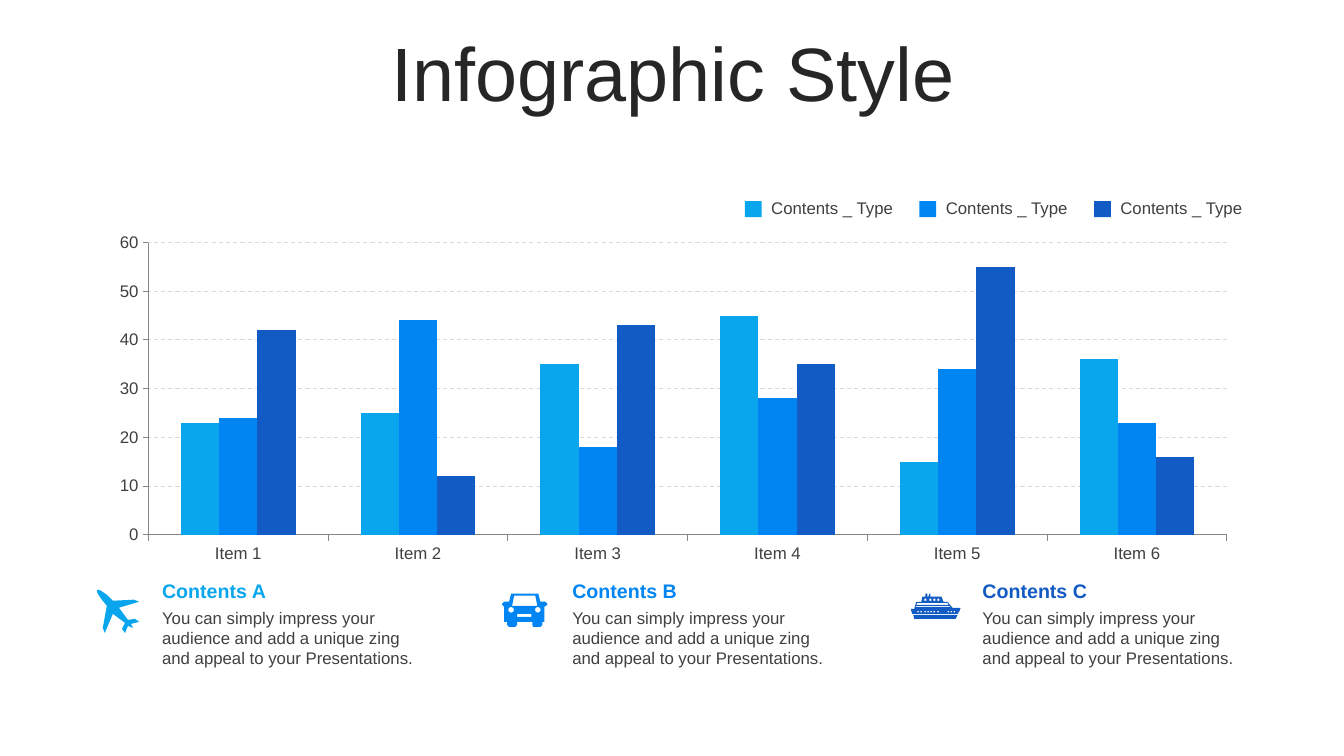
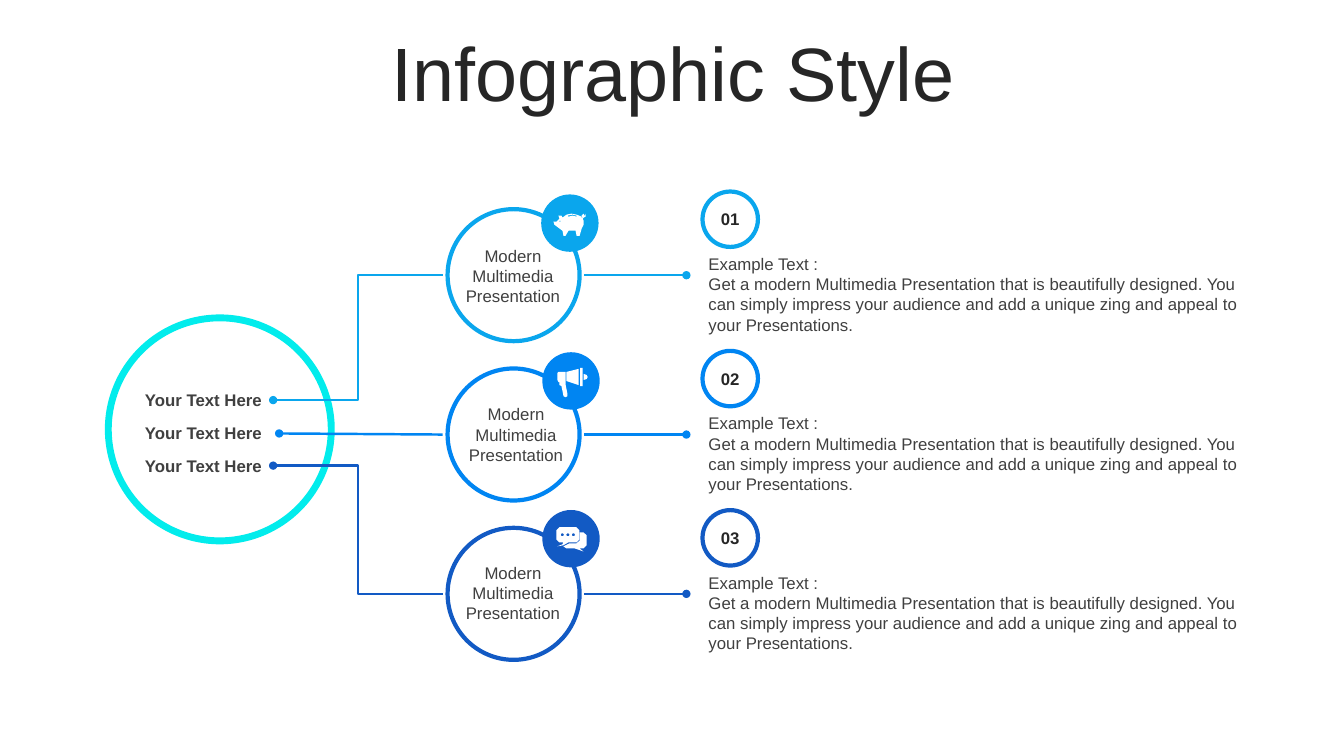
"""Build two infographic slides: a column chart and a branching diagram."""
from dataclasses import dataclass
from math import cos, pi, sin

from lxml import etree
from pptx import Presentation, util as u
from pptx.chart.data import CategoryChartData
from pptx.dml.color import RGBColor
from pptx.enum import chart as charts, dml, shapes, text
from pptx.oxml.ns import qn
from pptx.slide import Slide

FONT = "Arial"
SKY, AZURE, NAVY, CYAN = "0AA6ED", "0085F2", "125AC4", "02ECEC"
WHITE, INK, BODY, GRID, AXIS = "FFFFFF", "262626", "404040", "D9D9D9", "868686"
ACCENTS = (SKY, AZURE, NAVY)
ICON_UNIT = 0.72
BLURB = ("You can simply impress your audience and add a unique zing "
         "and appeal to your Presentations.")
EXAMPLE = ("Get a modern Multimedia Presentation that is beautifully designed. "
           "You can simply impress your audience and add a unique zing "
           "and appeal to your Presentations.")

Point = tuple[float, float]
Contour = list[Point]


@dataclass(frozen=True)
class Frame:
    """A rectangle in points."""
    left: float
    top: float
    width: float
    height: float

    def lengths(self) -> list[u.Length]:
        """Return the four sides as slide lengths."""
        return [u.Pt(side) for side in (self.left, self.top, self.width, self.height)]


@dataclass(frozen=True)
class Style:
    """The look of a text."""
    size: float = 12
    color: str = BODY
    bold: bool = False
    align: text.PP_ALIGN = text.PP_ALIGN.LEFT
    anchor: text.MSO_ANCHOR = text.MSO_ANCHOR.TOP
    spacing: float = 1.0


@dataclass(frozen=True)
class Icon:
    """An outline with holes, placed by its top left corner."""
    left: float
    top: float
    contours: list[Contour]


@dataclass(frozen=True)
class Feature:
    """A headed blurb with its icon."""
    heading: str
    color: str
    icon: Icon


@dataclass(frozen=True)
class Branch:
    """One row of the diagram."""
    number: str
    color: str
    caption_left: float
    badge_left: float
    start: Point
    icon: Icon


def rect(left: float, top: float, width: float, height: float) -> Contour:
    """Return a rectangular contour."""
    right, bottom = left + width, top + height
    return [(left, top), (right, top), (right, bottom), (left, bottom)]


def disc(x: float, y: float, radius: float) -> Contour:
    """Return a round contour."""
    angles = [pi * step / 8 for step in range(16)]
    return [(x + radius * cos(angle), y + radius * sin(angle)) for angle in angles]


PLANE = Icon(69.1, 421.2, [[
    (42, 32), (34, 34), (36, 38), (31, 36), (28, 43), (25, 39), (28, 33), (16, 24),
    (8, 43), (6, 38), (10, 16), (5, 10), (1, 4), (0, 1), (1, 0), (4, 1), (10, 5),
    (16, 11), (37, 10), (42, 12), (22, 18), (31, 30), (38, 29)]])
CAR = Icon(358.6, 424.1, [
    [(9, 0), (36, 0), (38, 8), (43, 8), (45, 10), (45, 11), (42, 13), (42, 28),
     (40, 28), (40, 31), (38, 33), (31, 33), (30, 31), (30, 28), (15, 28), (15, 31),
     (13, 33), (7, 33), (5, 31), (5, 28), (2, 28), (2, 13), (0, 11), (0, 10),
     (2, 8), (7, 8)],
    [(12, 2), (10, 12), (35, 12), (33, 2)],
    rect(15, 20, 14, 3), disc(9, 16, 2.8), disc(35.5, 16, 2.8)])
SHIP = Icon(650.9, 424.1, [
    [(18, 0), (19, 0), (19, 3), (30, 3), (32, 8), (36, 8), (41, 14), (49, 14),
     (48, 17), (46, 20), (1, 20), (0, 17), (0, 15), (3, 15), (5, 8), (10, 8),
     (11, 3), (14, 3), (14, 0), (16, 0), (16, 3), (17, 3)],
    [(2, 21), (46, 21), (44, 25), (3, 25)],
    [(5, 12), (4, 13), (39, 13), (38, 12)],
    [(6, 9), (5, 11), (37, 11), (36, 9)],
    *[rect(x, 17, 1.6, 1.4) for x in (6, 9, 13, 16, 19, 22, 26, 36, 39, 42)],
    *[rect(x, 5, 2, 2) for x in (13, 18, 22, 26)]])
PIG = Icon(395.3, 152.6, [
    [(18, 0), (23, 1), (28, 3), (28, 4), (29, 4), (28, 2), (30, 0), (31, 2), (31, 3),
     (32, 0), (32, 3), (30, 4), (29, 5), (30, 7), (30, 11), (28, 15), (26, 22),
     (23, 22), (22, 17), (15, 17), (12, 22), (10, 22), (9, 17), (5, 14), (1, 11),
     (0, 8), (3, 8), (6, 5), (5, 2), (8, 2), (9, 4), (13, 1)],
    [(14, 2), (15, 3), (19, 2), (23, 3), (23, 2), (19, 1)],
    disc(6.5, 7.5, 0.6)])
MEGAPHONE = Icon(398.2, 262.8, [
    [(8, 14), (8, 16), (10, 26), (10, 28), (8, 29), (6, 28), (4, 18), (2, 17), (2, 14)],
    [(26, 6), (29, 7), (30, 9), (29, 11), (26, 12)],
    [(1, 4), (8, 4), (8, 14), (1, 14), (0, 12), (0, 5)],
    [(21, 1), (21, 17), (9, 13), (9, 4)],
    rect(22.5, 0, 2.5, 18)])
CHAT = Icon(397.4, 376.6, [
    [(3, 0), (20, 0), (23, 3), (23, 12), (20, 15), (12, 15), (7, 18), (1, 19),
     (6, 17), (7, 15), (3, 15), (0, 12), (0, 3)],
    [(23.5, 5), (27, 5), (30, 8), (30, 18), (27, 21), (23, 21), (27, 24), (18, 21),
     (10, 21), (7, 19), (13, 16), (20, 16), (23.5, 13)],
    *[disc(x, 7.5, 1.5) for x in (6, 11.5, 17)]])

FEATURES = [Feature("Contents A", SKY, PLANE), Feature("Contents B", AZURE, CAR),
            Feature("Contents C", NAVY, SHIP)]
BRANCHES = [
    Branch("01", SKY, 325.4, 386.6, (195.1, 285.8), PIG),
    Branch("02", AZURE, 327.6, 387.4, (199.4, 309.6), MEGAPHONE),
    Branch("03", NAVY, 325.4, 387.4, (195.1, 332.6), CHAT),
]


def rgb(color: str) -> RGBColor:
    """Turn a hex string into a colour."""
    return RGBColor.from_string(color)


def write(shape, lines: list[str], style: Style) -> None:
    """Write one paragraph per line into a shape."""
    box = shape.text_frame
    box.word_wrap = True
    box.vertical_anchor = style.anchor
    for index, line in enumerate(lines):
        para = box.add_paragraph() if index else box.paragraphs[0]
        para.alignment = style.align
        para.line_spacing = style.spacing
        span = para.add_run()
        span.text = line
        span.font.name = FONT
        span.font.size = u.Pt(style.size)
        span.font.bold = style.bold
        span.font.color.rgb = rgb(style.color)


def add_text(page: Slide, frame: Frame, lines: list[str], style: Style = Style()) -> None:
    """Add a wrapped text box."""
    write(page.shapes.add_textbox(*frame.lengths()), lines, style)


def paint(shape, fill: str, outline: str | None = None) -> None:
    """Set fill and outline and drop the shadow."""
    shape.shadow.inherit = False
    shape.fill.solid()
    shape.fill.fore_color.rgb = rgb(fill)
    if outline:
        shape.line.color.rgb = rgb(outline)
        shape.line.width = u.Pt(3)
    else:
        shape.line.fill.background()


def add_shape(page: Slide, kind: shapes.MSO_SHAPE, frame: Frame, fill: str,
              outline: str | None = None):
    """Add a painted preset shape."""
    shape = page.shapes.add_shape(kind, *frame.lengths())
    paint(shape, fill, outline)
    return shape


def add_icon(page: Slide, icon: Icon, fill: str) -> None:
    """Draw an icon as one freeform."""
    outlines = [[(u.Pt(x * ICON_UNIT), u.Pt(y * ICON_UNIT)) for x, y in contour]
                for contour in icon.contours]
    builder = page.shapes.build_freeform(*outlines[0][0])
    builder.add_line_segments(outlines[0][1:])
    for outline in outlines[1:]:
        builder.move_to(*outline[0])
        builder.add_line_segments(outline[1:])
    paint(builder.convert_to_shape(u.Pt(icon.left), u.Pt(icon.top)), fill)


def add_link(page: Slide, start: Point, end: Point, color: str, width: float,
             kind: shapes.MSO_CONNECTOR = shapes.MSO_CONNECTOR.STRAIGHT) -> None:
    """Add a connector with a dot at its start."""
    ends = [u.Pt(value) for value in (*start, *end)]
    link = page.shapes.add_connector(kind, *ends)
    link.line.color.rgb = rgb(color)
    link.line.width = u.Pt(width)
    properties = link._element.spPr
    etree.SubElement(properties.find(qn("a:ln")), qn("a:headEnd"), type="oval")
    etree.SubElement(properties, qn("a:effectLst"))


def add_page(deck) -> Slide:
    """Add a blank page with the shared title."""
    page = deck.slides.add_slide(deck.slide_layouts[6])
    add_text(page, Frame(25.2, 26.6, 911.5, 56.9), ["Infographic Style"],
             Style(54, INK, align=text.PP_ALIGN.CENTER,
                   anchor=text.MSO_ANCHOR.MIDDLE, spacing=0.9))
    return page


def add_columns(page: Slide) -> None:
    """Add the clustered column chart."""
    data = CategoryChartData()
    data.categories = [f"Item {number}" for number in range(1, 7)]
    data.add_series("Series 1", (23, 25, 35, 45, 15, 36))
    data.add_series("Series 2", (24, 44, 18, 28, 34, 23))
    data.add_series("Series 3", (42, 12, 43, 35, 55, 16))
    frame = Frame(69.1, 162, 823.7, 244.8)
    chart = page.shapes.add_chart(charts.XL_CHART_TYPE.COLUMN_CLUSTERED,
                                  *frame.lengths(), data).chart
    chart.has_legend = chart.has_title = False
    chart.font.name = FONT
    chart.font.size = u.Pt(18)
    plot = chart.plots[0]
    plot.gap_width, plot.overlap, plot.vary_by_categories = 170, 0, False
    for series, color in zip(plot.series, ACCENTS):
        series.format.fill.solid()
        series.format.fill.fore_color.rgb = rgb(color)
    for axis in (chart.category_axis, chart.value_axis):
        axis.major_tick_mark = charts.XL_TICK_MARK.OUTSIDE
        axis.tick_labels.font.name = FONT
        axis.tick_labels.font.size = u.Pt(12)
        axis.tick_labels.font.color.rgb = rgb(BODY)
        axis.format.line.color.rgb = rgb(AXIS)
        axis.format.line.width = u.Pt(0.75)
    values = chart.value_axis
    values.minimum_scale, values.maximum_scale, values.major_unit = 0, 60, 10
    grid = values.major_gridlines.format.line
    grid.color.rgb = rgb(GRID)
    grid.width = u.Pt(0.75)
    grid.dash_style = dml.MSO_LINE.DASH


def add_chart_page(deck) -> None:
    """Build the page with chart, key and three features."""
    page = add_page(deck)
    add_columns(page)
    middle = text.MSO_ANCHOR.MIDDLE
    for index, feature in enumerate(FEATURES):
        left = 108.7 + 293 * index
        add_text(page, Frame(left, 409.7, 198.7, 24.5), [feature.heading],
                 Style(14, feature.color, bold=True, anchor=middle))
        add_text(page, Frame(left, 430.6, 198.7, 51.1), [BLURB])
        add_icon(page, feature.icon, feature.color)
        left = 532.1 + 124.7 * index
        add_shape(page, shapes.MSO_SHAPE.RECTANGLE, Frame(left, 143.6, 12, 11.5), feature.color)
        add_text(page, Frame(left + 11.7, 137.5, 103, 21.6), ["Contents _ Type"],
                 Style(anchor=middle))


def add_diagram_page(deck) -> None:
    """Build the page with the hub and its three branches."""
    page = add_page(deck)
    oval, center = shapes.MSO_SHAPE.OVAL, text.PP_ALIGN.CENTER
    hub = add_shape(page, shapes.MSO_SHAPE.DONUT, Frame(74.9, 224.6, 164.2, 164.2), CYAN)
    hub.adjustments[0] = 0.03
    for index, branch in enumerate(BRANCHES):
        color, drop = branch.color, 113.8 * index
        middle = 196.6 + drop
        kind = shapes.MSO_CONNECTOR.STRAIGHT if index == 1 else shapes.MSO_CONNECTOR.ELBOW
        add_link(page, branch.start, (316.1, middle), color, 1.75, kind)
        add_text(page, Frame(96.5, 275 + 23.5 * index, 103, 21.6), ["Your Text Here"],
                 Style(bold=True))
        add_shape(page, oval, Frame(319.7, middle - 47.2, 94.3, 94.3), WHITE, color)
        add_text(page, Frame(branch.caption_left, 172.1 + 113 * index, 82.1, 51.1),
                 ["Modern Multimedia Presentation"], Style(align=center))
        add_shape(page, oval, Frame(branch.badge_left, 138.9 + 112.7 * index, 41, 41), color)
        add_icon(page, branch.icon, WHITE)
        add_link(page, (490.3, middle), (416.9, middle), color, 1.5)
        add_text(page, Frame(499, 177.8 + drop, 400.3, 65.5), ["Example Text :", EXAMPLE])
        number = add_shape(page, oval, Frame(501.8, 136.8 + drop, 39.6, 39.6), WHITE, color)
        write(number, [branch.number],
              Style(color=INK, bold=True, align=center, anchor=text.MSO_ANCHOR.MIDDLE))


def main() -> None:
    """Build and save the deck."""
    deck = Presentation()
    deck.slide_width, deck.slide_height = u.Pt(960), u.Pt(540)
    add_chart_page(deck)
    add_diagram_page(deck)
    deck.save("out.pptx")


if __name__ == "__main__":
    main()
